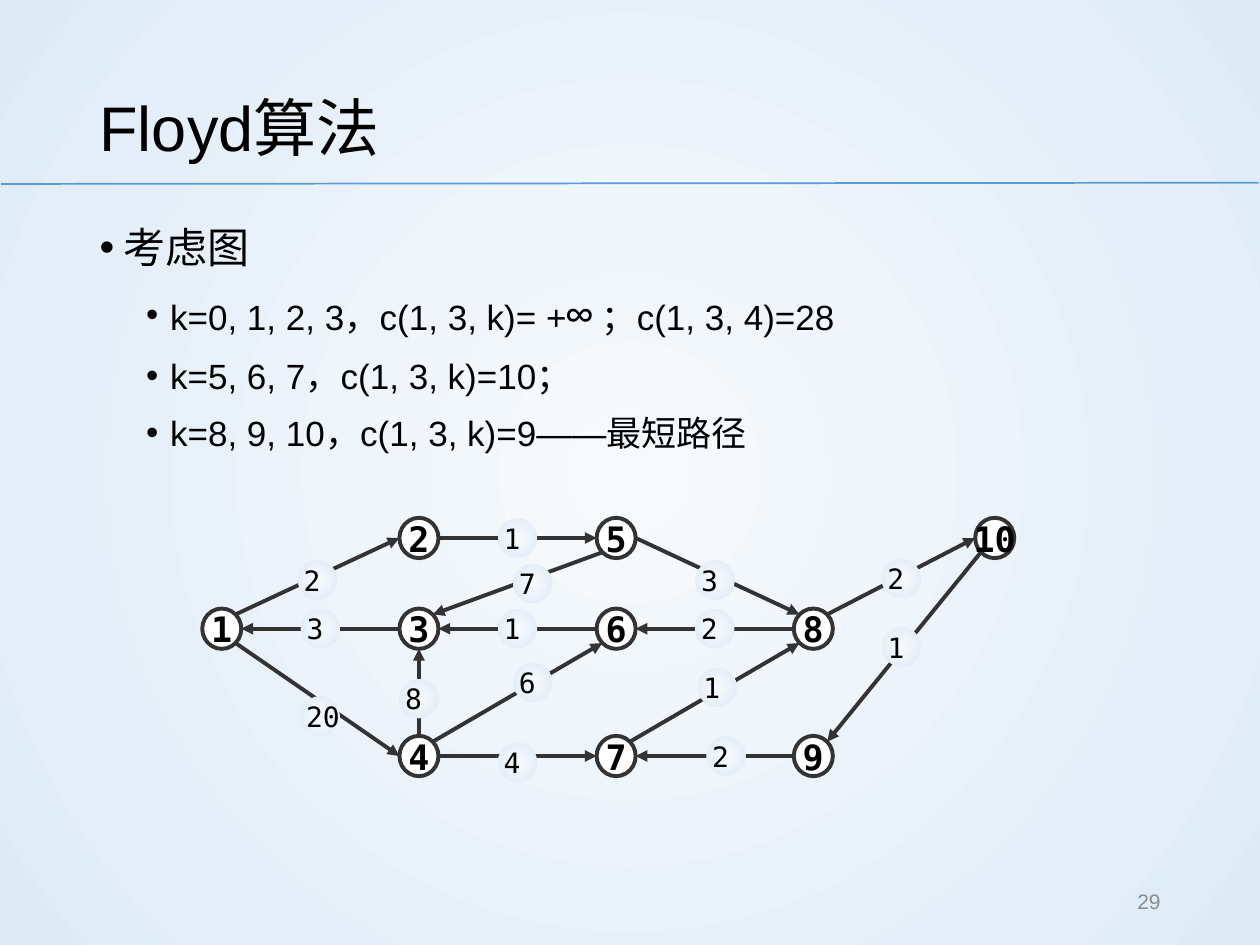
import pptx
import pptx.dml.color
import pptx.enum.shapes
import pptx.enum.text
import pptx.oxml
import pptx.oxml.ns
import pptx.util
from pptx.enum.text import MSO_ANCHOR, PP_ALIGN

RGBColor = pptx.dml.color.RGBColor
Inches = pptx.util.Inches
Pt = pptx.util.Pt
qn = pptx.oxml.ns.qn

BLACK = RGBColor(0x00, 0x00, 0x00)
WHITE = RGBColor(0xFF, 0xFF, 0xFF)
INK = RGBColor(0x33, 0x33, 0x33)
GREY = RGBColor(0x8C, 0x8C, 0x8C)
RULE_BLUE = RGBColor(0x5B, 0x9B, 0xD5)
GLOW = RGBColor(0xF7, 0xFA, 0xFD)
SKY = RGBColor(0xDE, 0xEB, 0xF7)
SANS = "Arial"
MONO = "DejaVu Sans Mono"

TITLE_BOX = (0.69, 0.4, 8.62, 1.08)
BODY_BOX = (0.69, 1.63, 8.62, 5.13)
NUMBER_BOX = (7.06, 6.95, 2.25, 0.4)

# Vertices sit on a grid: column and row, counted from the left and top vertices.
GRID_LEFT, GRID_TOP = 1.76, 4.27
COLUMN = 1.565
ROWS = (0, 0.72, 1.73)
NODE_WIDTH, NODE_HEIGHT = 0.31, 0.32
WEIGHT_SIZE = 0.31
VERTICES = {1: (0, 1), 2: (1, 0), 3: (1, 1), 4: (1, 2), 5: (2, 0),
            6: (2, 1), 7: (2, 2), 8: (3, 1), 9: (3, 2), 10: (3.92, 0)}
DIAGONAL = 0.71
COMPASS = {"N": (0, -1), "S": (0, 1), "W": (-1, 0), "E": (1, 0),
           "NW": (-DIAGONAL, -DIAGONAL), "NE": (DIAGONAL, -DIAGONAL),
           "SW": (-DIAGONAL, DIAGONAL), "SE": (DIAGONAL, DIAGONAL)}
# tail vertex and side, head vertex and side, weight, weight's shift from the middle
EDGES = [
    (3, "W", 1, "E", 3, (0, 0)),
    (1, "NE", 2, "W", 2, (0, 0.03)),
    (2, "E", 5, "W", 1, (0, 0)),
    (6, "W", 3, "E", 1, (0, 0)),
    (8, "W", 6, "E", 2, (0, 0)),
    (1, "SE", 4, "W", 20, (0.02, 0.13)),
    (4, "N", 3, "S", 8, (0, 0.05)),
    (5, "E", 8, "NW", 3, (-0.02, 0.03)),
    (8, "NE", 10, "W", 2, (0, 0.02)),
    (10, "SW", 9, "NE", 1, (-0.02, 0)),
    (9, "W", 7, "E", 2, (0.09, 0)),
    (4, "E", 7, "W", 4, (0, 0.05)),
    (4, "NE", 6, "SW", 6, (0.12, -0.08)),
    (7, "NE", 8, "SW", 1, (0.02, -0.04)),
    (5, "SW", 3, "NE", 7, (0.12, 0)),
]

# level, text pieces with an optional size and font of their own
POINTS = [
    (0, [("考虑图",)]),
    (1, [("k=0, 1, 2, 3，c(1, 3, k)= +",), ("∞", 24, "Noto Sans Mono"),
         (" ；c(1, 3, 4)=28",)]),
    (1, [("k=5, 6, 7，c(1, 3, k)=10；",)]),
    (1, [("k=8, 9, 10，c(1, 3, k)=9——最短路径",)]),
]
# left margin, text size, space before
LEVELS = [(0.19, 24, 7.5), (0.56, 20, 3.8)]


def set_font(font, size, color=BLACK, name=SANS, bold=False):
    font.size, font.name, font.bold = Pt(size), name, bold
    font.color.rgb = color


def place(shape, box):
    shape.left, shape.top, shape.width, shape.height = map(Inches, box)


def fill_radial(fill, owner):
    """Fill with the glow that fades outwards to sky blue."""
    fill.gradient()
    for stop, color in zip(fill.gradient_stops, (GLOW, SKY)):
        stop.color.rgb = color
    gradient = next(owner.iter(qn("a:gradFill")))
    linear = gradient.find(qn("a:lin"))
    gradient.replace(linear, pptx.oxml.parse_xml(
        f'<a:path {pptx.oxml.ns.nsdecls("a")} path="circle">'
        '<a:fillToRect l="50000" t="50000" r="50000" b="50000"/></a:path>'))


def add_line(slide, start, end, color, width, arrow=False):
    line = slide.shapes.add_connector(
        pptx.enum.shapes.MSO_CONNECTOR.STRAIGHT, *map(Inches, (*start, *end)))
    line.line.color.rgb = color
    line.line.width = Pt(width)
    if arrow:
        outline = line.line._get_or_add_ln()
        outline.append(outline.makeelement(qn("a:tailEnd"), {"type": "triangle"}))
    properties = line.element.spPr
    properties.append(properties.makeelement(qn("a:effectLst"), {}))


def add_disc(slide, center, width, height, label, size, align, bold):
    disc = slide.shapes.add_shape(
        pptx.enum.shapes.MSO_SHAPE.OVAL,
        *map(Inches, (center[0] - width / 2, center[1] - height / 2, width, height)))
    disc.shadow.inherit = False
    frame = disc.text_frame
    frame.word_wrap = False
    frame.vertical_anchor = MSO_ANCHOR.MIDDLE
    frame.margin_left = frame.margin_right = frame.margin_top = frame.margin_bottom = 0
    paragraph = frame.paragraphs[0]
    paragraph.text = str(label)
    paragraph.alignment = align
    set_font(paragraph.font, size, name=MONO, bold=bold)
    return disc


def add_vertex(slide, center, label):
    vertex = add_disc(slide, center, NODE_WIDTH, NODE_HEIGHT, label, 20,
                      PP_ALIGN.CENTER, True)
    vertex.fill.solid()
    vertex.fill.fore_color.rgb = WHITE
    vertex.line.color.rgb = INK
    vertex.line.width = Pt(2.25)


def add_weight(slide, center, label):
    weight = add_disc(slide, center, WEIGHT_SIZE, WEIGHT_SIZE, label, 16,
                      PP_ALIGN.LEFT, False)
    fill_radial(weight.fill, weight.element)
    weight.line.fill.background()


def add_graph(slide, left, top):
    centers = {vertex: (left + column * COLUMN, top + ROWS[row])
               for vertex, (column, row) in VERTICES.items()}

    def side(vertex, direction):
        (x, y), (dx, dy) = centers[vertex], COMPASS[direction]
        return x + dx * NODE_WIDTH / 2, y + dy * NODE_HEIGHT / 2

    for tail, tail_side, head, head_side, weight, shift in EDGES:
        start, end = side(tail, tail_side), side(head, head_side)
        add_line(slide, start, end, INK, 2.25, arrow=True)
        middle = [(a + b) / 2 + d for a, b, d in zip(start, end, shift)]
        add_weight(slide, middle, weight)
    for vertex, center in centers.items():
        add_vertex(slide, center, vertex)


def fill_title(title, box):
    place(title, box)
    frame = title.text_frame
    frame.auto_size = pptx.enum.text.MSO_AUTO_SIZE.NONE
    frame.vertical_anchor = MSO_ANCHOR.MIDDLE
    paragraph = frame.paragraphs[0]
    paragraph.text = "Floyd算法"
    paragraph.alignment = PP_ALIGN.LEFT
    paragraph.line_spacing = 1.2
    set_font(paragraph.font, 36)


def fill_body(body, box):
    place(body, box)
    frame = body.text_frame
    frame.auto_size = pptx.enum.text.MSO_AUTO_SIZE.NONE
    for index, (level, pieces) in enumerate(POINTS):
        paragraph = frame.add_paragraph() if index else frame.paragraphs[0]
        margin, size, space = LEVELS[level]
        paragraph.level = level
        paragraph.line_spacing = 1.2
        paragraph.space_before = Pt(space if index else 0)
        properties = paragraph._p.get_or_add_pPr()
        properties.set("marL", str(Inches(margin)))
        properties.set("indent", str(Inches(-0.19)))
        for tag, attributes in (("a:buFont", {"typeface": SANS}),
                                ("a:buChar", {"char": "•"})):
            properties.append(properties.makeelement(qn(tag), attributes))
        set_font(paragraph.font, size)
        for text, *own_font in pieces:
            run = paragraph.add_run()
            run.text = text
            if own_font:
                set_font(run.font, own_font[0], name=own_font[1])


def add_slide_number(slide, box):
    frame = slide.shapes.add_textbox(*map(Inches, box)).text_frame
    frame.word_wrap = True
    frame.vertical_anchor = MSO_ANCHOR.MIDDLE
    paragraph = frame.paragraphs[0]
    paragraph.text = "29"
    paragraph.alignment = PP_ALIGN.RIGHT
    set_font(paragraph.font, 12, GREY)


def main():
    deck = pptx.Presentation()
    deck.slide_width, deck.slide_height = Inches(10), Inches(7.5)
    slide = deck.slides.add_slide(deck.slide_layouts[1])
    fill_radial(slide.background.fill, slide.element)
    add_line(slide, (0.01, 1.46), (9.99, 1.45), RULE_BLUE, 1)
    fill_title(slide.shapes.title, TITLE_BOX)
    fill_body(slide.placeholders[1], BODY_BOX)
    add_slide_number(slide, NUMBER_BOX)
    add_graph(slide, GRID_LEFT, GRID_TOP)
    deck.save("out.pptx")


if __name__ == "__main__":
    main()
